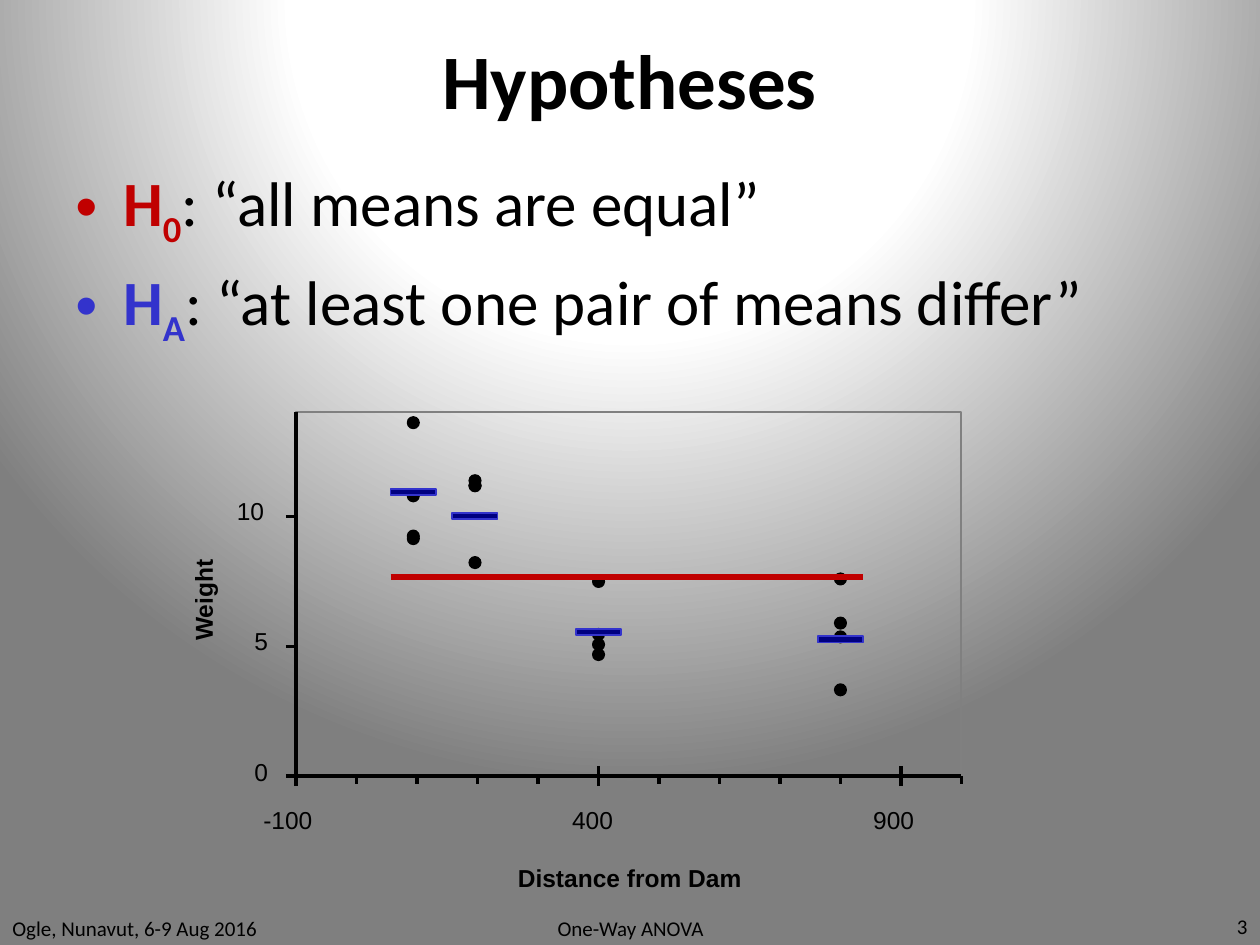
from pptx import Presentation
from pptx import util as u
from pptx.dml.color import RGBColor
from pptx.enum import shapes, text
from pptx.oxml import parse_xml
from pptx.oxml.ns import nsdecls, qn
from lxml import etree

BLACK = RGBColor(0x00, 0x00, 0x00)
GRAY = RGBColor(0x80, 0x80, 0x80)
RED = RGBColor(0xC0, 0x00, 0x00)
BLUE = RGBColor(0x33, 0x33, 0xCC)
NAVY = RGBColor(0x00, 0x00, 0x80)
LEFT, CENTER, RIGHT = text.PP_ALIGN.LEFT, text.PP_ALIGN.CENTER, text.PP_ALIGN.RIGHT
TOP, MIDDLE = text.MSO_ANCHOR.TOP, text.MSO_ANCHOR.MIDDLE
RECT, OVAL = shapes.MSO_SHAPE.RECTANGLE, shapes.MSO_SHAPE.OVAL


class Slide:
    """Holds the style and the slide that is being filled."""

    def __init__(self, deck):
        self.page = deck.slides.add_slide(deck.slide_layouts[6])
        self.target = self.page.shapes

    def background(self, stops):
        marks = "".join(
            f'<a:gs pos="{pos * 1000}"><a:srgbClr val="{color}"/></a:gs>'
            for pos, color in stops)
        self.page.element.cSld.insert(0, parse_xml(
            f'<p:bg {nsdecls("p", "a")}><p:bgPr><a:gradFill rotWithShape="1">'
            f'<a:gsLst>{marks}</a:gsLst><a:path path="circle">'
            '<a:fillToRect l="50000" t="-80000" r="50000" b="180000"/></a:path>'
            '</a:gradFill><a:effectLst/></p:bgPr></p:bg>'))

    def start_group(self):
        self.target = self.page.shapes.add_group_shape().shapes

    def end_group(self):
        self.target = self.page.shapes

    def shape(self, kind, at, line, fill=None):
        shape = self.target.add_shape(kind, *map(u.Inches, at))
        shape.shadow.inherit = False
        if fill is None:
            shape.fill.background()
        else:
            shape.fill.solid()
            shape.fill.fore_color.rgb = fill
        shape.line.color.rgb = line
        shape.line.width = u.Pt(1)

    def line(self, x1, y1, x2, y2, color=BLACK, width=0):
        line = self.target.add_connector(
            shapes.MSO_CONNECTOR.STRAIGHT, *map(u.Inches, (x1, y1, x2, y2)))
        line.line.color.rgb = color
        line.line.width = u.Pt(width)
        etree.SubElement(line.element.spPr, qn("a:effectLst"))

    def box(self, at, anchor=TOP, wrap=True, inset=True):
        box = self.target.add_textbox(*map(u.Inches, at))
        frame = box.text_frame
        frame.word_wrap = wrap
        frame.vertical_anchor = anchor
        if not inset:
            for side in ("left", "top", "right", "bottom"):
                setattr(frame, f"margin_{side}", 0)
        return box

    def span(self, para, words, color=BLACK, **style):
        span = para.add_run()
        span.text = words
        values = {"name": "Calibri", "size": 12, "bold": False} | style
        values["size"] = u.Pt(values["size"])
        for key, value in values.items():
            setattr(span.font, key, value)
        span.font.color.rgb = color
        return span

    def text(self, at, words, align=CENTER, **style):
        para = self.box(at, MIDDLE).text_frame.paragraphs[0]
        para.alignment = align
        self.span(para, words, **style)

    def label(self, at, words, bold=False, rotation=0):
        box = self.box(at, wrap=False, inset=False)
        box.rotation = rotation
        self.span(box.text_frame.paragraphs[0], words,
                  name="Arial", size=14, bold=bold)

    def bullets(self, at, items):
        frame = self.box(at).text_frame
        for index, (mark, claim, color) in enumerate(items):
            para = frame.add_paragraph() if index else frame.paragraphs[0]
            props = para._p.get_or_add_pPr()
            props.set("marL", str(u.Inches(0.38)))
            props.set("indent", str(u.Inches(-0.38)))
            before = etree.SubElement(props, qn("a:spcBef"))
            etree.SubElement(before, qn("a:spcPct")).set("val", "20000")
            etree.SubElement(props, qn("a:buFont")).set("typeface", "Arial")
            etree.SubElement(props, qn("a:buChar")).set("char", "•")
            self.span(para, "H", color, size=36, bold=True)
            sub = self.span(para, mark, color, size=36, bold=True)
            sub.font._element.set("baseline", "-25000")
            self.span(para, f": “{claim}”", size=36)


deck = Presentation()
deck.slide_width, deck.slide_height = u.Inches(10), u.Inches(7.5)
slide = Slide(deck)
slide.background([(40, "FEFEFE"), (43, "FFFFFF"), (100, "7F7F7F")])

# Title and hypotheses
slide.text((0.5, 0, 9, 1.25), "Hypotheses", size=44, bold=True)
slide.bullets((0.5, 1.25, 9, 1.86), [
    ("0", "all means are equal", RED),
    ("A", "at least one pair of means differ", BLUE)])

# Plot frame and axes
X0, X1, Y0, Y1 = 2.35, 7.63, 3.27, 6.16
STEP_X, STEP_Y = (X1 - X0) / 11, 1.03
slide.start_group()
slide.shape(RECT, (X0, Y0, X1 - X0, Y1 - Y0), GRAY)
slide.line(X0, Y0, X0, Y1)
slide.line(X0, Y1, X1, Y1)
for tick in range(3):
    y = Y1 - tick * STEP_Y
    slide.line(X0 - 0.08, y, X0, y)
for tick in range(12):
    x = X0 + tick * STEP_X
    slide.line(x, Y1 + 0.06, x, Y1)
    if tick % 5 == 0:
        slide.line(x, Y1 + 0.08, x, Y1 - 0.08)

# Each distance: left edge and top of its mean bar, tops of its dots
GROUPS = [
    (3.10, 3.88, (3.89, 4.23, 3.31, 4.21)),
    (3.59, 4.07, (3.81, 3.81, 4.42, 3.77)),
    (4.57, 4.99, (4.99, 5.15, 4.57, 5.07)),
    (6.49, 5.05, (4.90, 5.01, 5.43, 4.55))]
BAR, DOT = 0.36, 0.09
for left, _, tops in GROUPS:
    for top in tops:
        slide.shape(OVAL, (left + (BAR - DOT) / 2, top, DOT, DOT), BLACK, BLACK)

# Axis labels
for words, left, top, width in [
        ("0", 2.02, 6.01, 0.14), ("5", 2.02, 4.97, 0.14), ("10", 1.88, 3.94, 0.28),
        ("-100", 2.09, 6.39, 0.5), ("400", 4.54, 6.39, 0.41), ("900", 6.93, 6.39, 0.41)]:
    slide.label((left, top, width, 0.32), words)
slide.label((4.11, 6.85, 1.79, 0.23), "Distance from Dam", bold=True)
slide.label((1.29, 4.64, 0.65, 0.24), "Weight", bold=True, rotation=270)
slide.end_group()

# Overall mean and group means
slide.line(3.1, 4.58, 6.85, 4.58, RED, 3)
for left, mean_top, _ in GROUPS:
    slide.shape(RECT, (left, mean_top, BAR, 0.05), BLUE, NAVY)

# Footer
slide.text((3.42, 7.23, 3.17, 0.27), "One-Way ANOVA")
slide.text((7.67, 7.2, 2.33, 0.3), "3", RIGHT)
slide.text((0, 7.23, 2.33, 0.27), "Ogle, Nunavut, 6-9 Aug 2016", LEFT)

deck.save("out.pptx")
